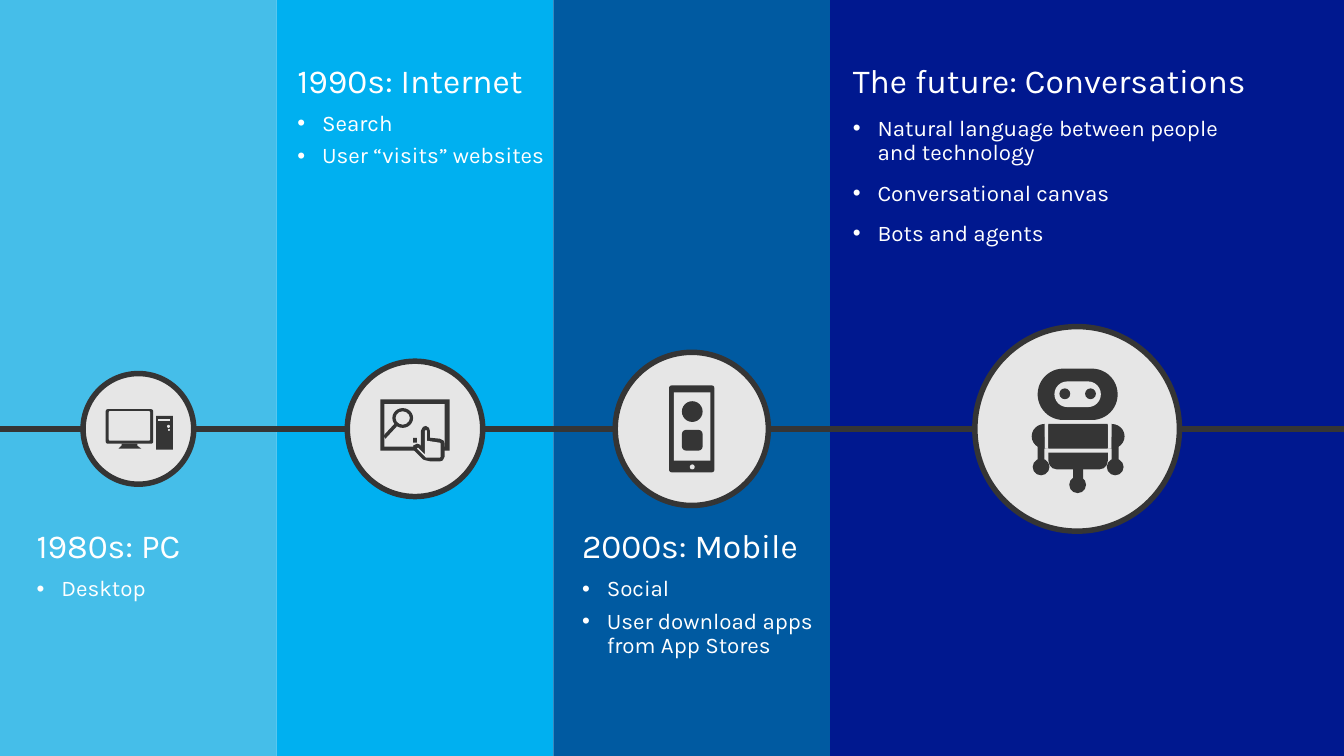
import pptx
import pptx.util
import pptx.dml.color
import pptx.enum.shapes
import pptx.enum.text
import pptx.oxml
from lxml import etree

Inches, Pt = pptx.util.Inches, pptx.util.Pt
RGBColor = pptx.dml.color.RGBColor
Kind = pptx.enum.shapes.MSO_SHAPE

DARK = RGBColor(0x35, 0x35, 0x35)
LIGHT = RGBColor(0xE6, 0xE6, 0xE6)
WHITE = RGBColor(0xFF, 0xFF, 0xFF)
SKY = RGBColor(0x45, 0xBE, 0xE9)
CYAN = RGBColor(0x00, 0xB0, 0xF0)
BLUE = RGBColor(0x00, 0x5A, 0xA1)
NAVY = RGBColor(0x00, 0x18, 0x8F)

FONT = "Karla"
SLIDE_WIDTH, SLIDE_HEIGHT = 13.6, 7.65
TIMELINE_Y = 4.34
STROKE = 4

RECT, OVAL, ROUND = Kind.RECTANGLE, Kind.OVAL, Kind.ROUNDED_RECTANGLE

# Icon parts, back to front: (kind, (left, top, width, height), colour, adjustments)
# or ("outline", corner points, colour).
PC_ICON = [
    (ROUND, (1.07, 4.14, 0.48, 0.35), DARK, [0.06]),
    (ROUND, (1.1, 4.16, 0.42, 0.3), LIGHT, [0.05]),
    ("outline", [(1.23, 4.49), (1.39, 4.49), (1.39, 4.51), (1.43, 4.54),
                 (1.2, 4.54), (1.23, 4.51)], DARK),
    (RECT, (1.58, 4.21, 0.17, 0.34), DARK, []),
    (RECT, (1.6, 4.24, 0.12, 0.02), LIGHT, []),
    (OVAL, (1.69, 4.3, 0.03, 0.03), LIGHT, []),
    (OVAL, (1.7, 4.34, 0.02, 0.02), LIGHT, []),
]
SEARCH_ICON = [
    (RECT, (3.85, 4.04, 0.7, 0.52), DARK, []),
    (RECT, (3.89, 4.09, 0.61, 0.43), LIGHT, []),
    (Kind.DONUT, (3.97, 4.13, 0.21, 0.2), DARK, [0.16]),
    ("outline", [(4.0, 4.28), (3.88, 4.41), (3.9, 4.44), (4.03, 4.3)], DARK),
    (RECT, (4.18, 4.43, 0.04, 0.05), DARK, []),
    ("outline", [(4.26, 4.52), (4.26, 4.36), (4.28, 4.32), (4.31, 4.31),
                 (4.34, 4.33), (4.35, 4.36), (4.35, 4.43), (4.45, 4.44),
                 (4.49, 4.46), (4.5, 4.49), (4.5, 4.62), (4.48, 4.66),
                 (4.45, 4.67), (4.36, 4.67), (4.31, 4.66), (4.28, 4.65),
                 (4.19, 4.56), (4.18, 4.51), (4.22, 4.49), (4.25, 4.5)], DARK),
    ("outline", [(4.3, 4.6), (4.3, 4.36), (4.31, 4.35), (4.32, 4.36),
                 (4.32, 4.46), (4.45, 4.48), (4.46, 4.49), (4.46, 4.62),
                 (4.45, 4.63), (4.31, 4.63), (4.22, 4.54), (4.23, 4.53)], LIGHT),
]
PHONE_ICON = [
    (ROUND, (6.77, 3.9, 0.46, 0.88), DARK, [0.06]),
    (RECT, (6.82, 3.97, 0.37, 0.69), LIGHT, []),
    (OVAL, (6.9, 4.06, 0.21, 0.21), DARK, []),
    (ROUND, (6.9, 4.35, 0.21, 0.21), DARK, [0.2]),
    (OVAL, (6.98, 4.7, 0.05, 0.05), LIGHT, []),
]
ARM_PARTS = [
    (OVAL, (10.44, 4.29, 0.26, 0.25), DARK, []),
    (RECT, (10.57, 4.29, 0.04, 0.25), LIGHT, []),
    (RECT, (10.5, 4.42, 0.07, 0.26), DARK, []),
    (OVAL, (10.45, 4.64, 0.17, 0.17), DARK, []),
]
ROBOT_AXIS = 10.91
OTHER_ARM = [(kind, (2 * ROBOT_AXIS - left - width, top, width, height), colour, adjust)
             for kind, (left, top, width, height), colour, adjust in ARM_PARTS]
ROBOT_ICON = ARM_PARTS + OTHER_ARM + [
    (ROUND, (10.5, 3.73, 0.81, 0.52), DARK, [0.5]),
    (ROUND, (10.67, 3.86, 0.47, 0.26), LIGHT, [0.5]),
    (OVAL, (10.72, 3.93, 0.11, 0.11), DARK, []),
    (OVAL, (10.98, 3.93, 0.11, 0.11), DARK, []),
    (RECT, (10.61, 4.29, 0.6, 0.25), DARK, []),
    (Kind.ROUND_2_SAME_RECTANGLE, (10.61, 4.58, 0.6, 0.17), DARK, [0, 0.5]),
    (RECT, (10.86, 4.74, 0.1, 0.12), DARK, []),
    (OVAL, (10.82, 4.82, 0.17, 0.17), DARK, []),
]

# box: left, top, width, height; insets: left, top; spacing in points
ERAS = [
    dict(title="1980s: PC", bullets=["Desktop"],
         width=2.8, colour=SKY, box=(0.25, 5.36, 2.55, 1.6), insets=(0.12, 0),
         title_after=8.5, before=0, after=6, circle=(1.4, 1.12), icon=PC_ICON),
    dict(title="1990s: Internet", bullets=["Search", "User “visits” websites"],
         width=2.8, colour=CYAN, box=(2.8, 0.55, 2.76, 3.26), insets=(0.21, 0.1),
         title_after=8.5, before=0, after=6, circle=(4.2, 1.37), icon=SEARCH_ICON),
    dict(title="2000s: Mobile", bullets=["Social", "User download apps from App Stores"],
         width=2.8, colour=BLUE, box=(5.6, 5.36, 2.8, 1.8), insets=(0.29, 0),
         title_after=8.5, before=0, after=6, circle=(7.0, 1.55), icon=PHONE_ICON),
    dict(title="The future: Conversations",
         bullets=["Natural language between people\vand technology",
                  "Conversational canvas", "Bots and agents"],
         width=5.2, colour=NAVY, box=(8.43, 0.55, 4.77, 2.13), insets=(0.2, 0.1),
         title_after=0, before=12, after=0, circle=(10.9, 2.07), icon=ROBOT_ICON),
]


def apply(target, values):
    for name, value in values.items():
        setattr(target, name, value)


def paint(shape, colour, outline=None):
    shape.shadow.inherit = False
    shape.fill.solid()
    shape.fill.fore_color.rgb = colour
    if outline is None:
        shape.line.fill.background()
    else:
        shape.line.color.rgb = outline
        shape.line.width = Pt(STROKE)


def add_preset(shapes, kind, place, colour, adjust=(), outline=None):
    shape = shapes.add_shape(kind, *map(Inches, place))
    for index, value in enumerate(adjust):
        shape.adjustments[index] = value
    paint(shape, colour, outline)


def add_outline(shapes, points, colour):
    corners = [(Inches(x), Inches(y)) for x, y in points]
    builder = shapes.build_freeform(*corners[0])
    builder.add_line_segments(corners[1:], close=True)
    paint(builder.convert_to_shape(), colour)


def add_bullet(para):
    props = para._p.get_or_add_pPr()
    props.set("marL", str(Inches(0.25)))
    props.set("indent", str(Inches(-0.25)))
    for tag, key, value in [("a:buFont", "typeface", "Arial"), ("a:buChar", "char", "•")]:
        etree.SubElement(props, pptx.oxml.ns.qn(tag)).set(key, value)


def write_era(page, era):
    frame = page.shapes.add_textbox(*map(Inches, era["box"])).text_frame
    left, top = map(Inches, era["insets"])
    apply(frame, dict(word_wrap=True, margin_left=left, margin_top=top, margin_right=0,
                      margin_bottom=0, vertical_anchor=pptx.enum.text.MSO_ANCHOR.TOP))
    for index, text in enumerate([era["title"]] + era["bullets"]):
        para = frame.add_paragraph() if index else frame.paragraphs[0]
        para.text = text
        if index:
            add_bullet(para)
            values = dict(level=1, space_before=Pt(era["before"]), space_after=Pt(era["after"]))
        else:
            values = dict(space_after=Pt(era["title_after"]))
        apply(para, dict(values, line_spacing=0.9))
        for span in para.runs:
            apply(span.font, dict(name=FONT, size=Pt(16.3 if index else 24.5)))
            span.font.color.rgb = WHITE


def add_badge(page, era):
    """Circle on the timeline with the icon of the era, grouped."""
    shapes = page.shapes.add_group_shape().shapes
    centre, size = era["circle"]
    place = (centre - size / 2, TIMELINE_Y - size / 2, size, size)
    add_preset(shapes, OVAL, place, LIGHT, outline=DARK)
    for kind, *details in era["icon"]:
        if kind == "outline":
            add_outline(shapes, *details)
        else:
            add_preset(shapes, kind, *details)


def main():
    deck = pptx.Presentation()
    apply(deck, dict(slide_width=Inches(SLIDE_WIDTH), slide_height=Inches(SLIDE_HEIGHT)))
    page = deck.slides.add_slide(deck.slide_layouts[6])

    left = 0
    for era in ERAS:
        add_preset(page.shapes, RECT, (left, 0, era["width"], SLIDE_HEIGHT), era["colour"])
        write_era(page, era)
        left += era["width"]

    timeline = page.shapes.add_connector(
        pptx.enum.shapes.MSO_CONNECTOR.STRAIGHT,
        0, Inches(TIMELINE_Y), Inches(SLIDE_WIDTH), Inches(TIMELINE_Y))
    timeline.line.color.rgb = DARK
    timeline.line.width = Pt(STROKE)
    etree.SubElement(timeline._element.spPr, pptx.oxml.ns.qn("a:effectLst"))

    for era in ERAS:
        add_badge(page, era)
    deck.save("out.pptx")


if __name__ == "__main__":
    main()
